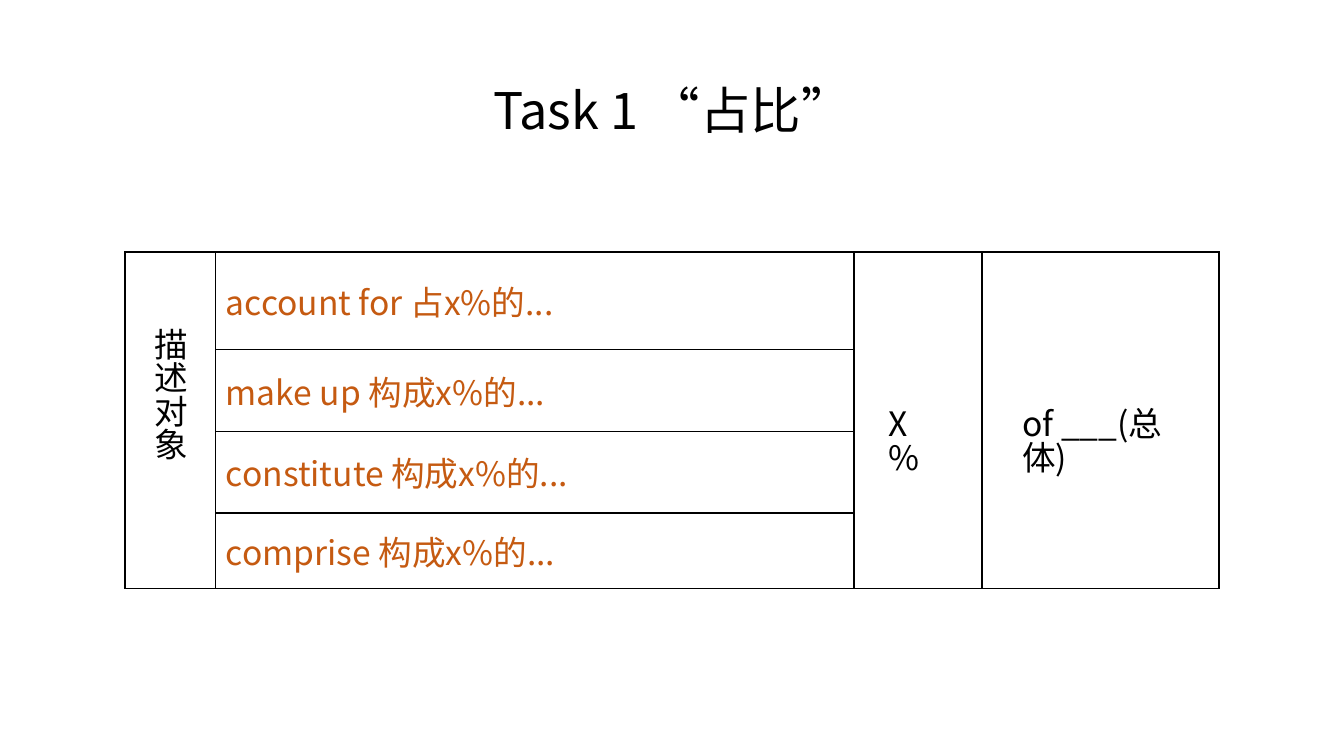
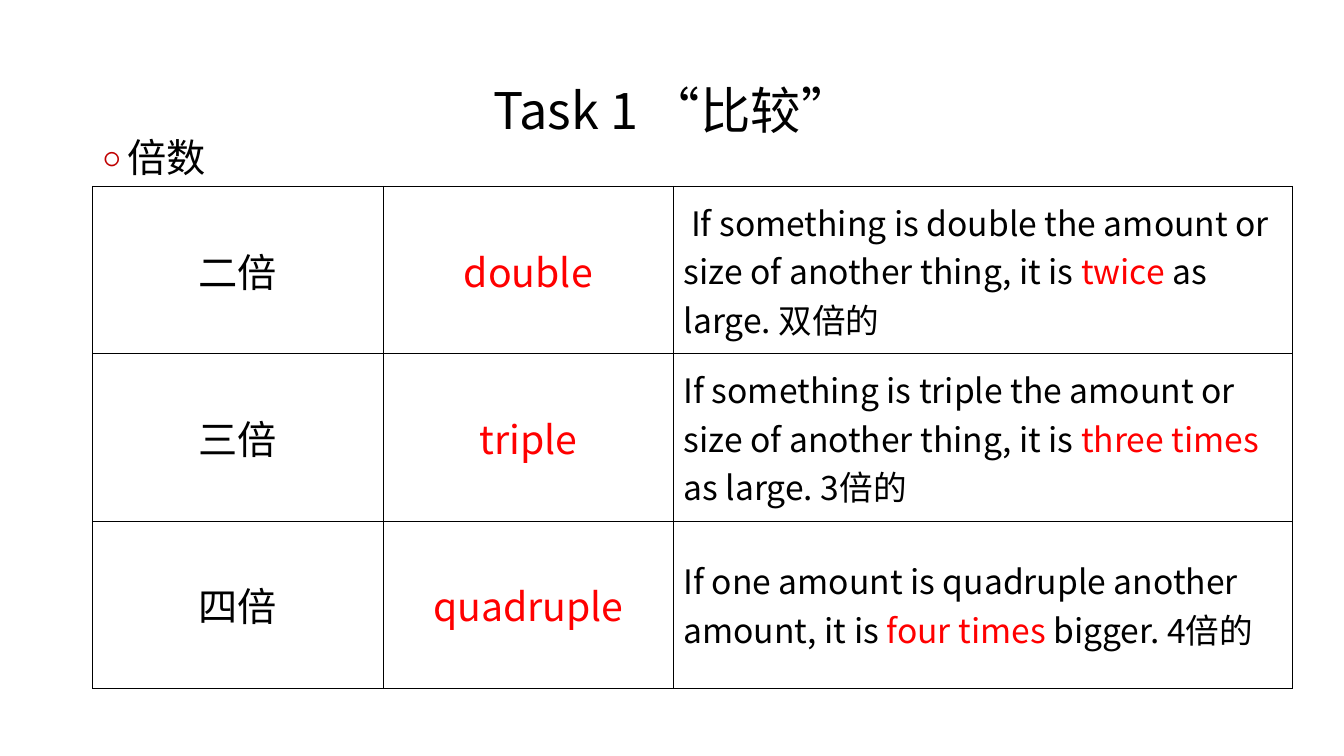
from dataclasses import dataclass

from lxml import etree
from pptx import Presentation
from pptx.dml.color import RGBColor
from pptx.enum import text
from pptx.oxml import ns
from pptx.util import Inches, Pt


@dataclass(frozen=True)
class Theme:
    font: str = "Noto Sans CJK SC"
    ink: str = "000000"
    rust: str = "C55A11"
    red: str = "FF0000"
    dot: str = "C00000"
    title: int = 36
    large: int = 28
    body: int = 24
    rule: int = 1


T = Theme()
MID = text.MSO_ANCHOR.MIDDLE
CENTER = text.PP_ALIGN.CENTER


def write(frame, runs, size, **form):
    """Fill the first paragraph with (words, colour) runs; form sets its format."""
    para = frame.paragraphs[0]
    for key, value in form.items():
        setattr(para, key, value)
    for words, color in runs:
        run = para.add_run()
        run.text = words
        run.font.name, run.font.size = T.font, Pt(size)
        run.font.color.rgb = RGBColor.from_string(color)
        east = etree.SubElement(run.font._element, ns.qn("a:ea"))
        east.set("typeface", T.font)
    return para


def grid(slide, left, top, cols, rows):
    """Add a table without fills, ruled on every side of every cell."""
    box = [Inches(n) for n in (left, top, sum(cols), sum(rows))]
    table = slide.shapes.add_table(len(rows), len(cols), *box).table
    table.first_row = table.horz_banding = False
    for col, wide in zip(table.columns, cols):
        col.width = Inches(wide)
    for row, high in zip(table.rows, rows):
        row.height = Inches(high)
    for cell in table.iter_cells():
        cell.fill.background()
        cell.vertical_anchor = MID
        props = cell._tc.get_or_add_tcPr()
        for place, side in enumerate("LRTB"):
            line = etree.Element(ns.qn(f"a:ln{side}"), w=str(Pt(T.rule)))
            fill = etree.SubElement(line, ns.qn("a:solidFill"))
            etree.SubElement(fill, ns.qn("a:srgbClr"), val=T.ink)
            props.insert(place, line)
    return table


deck = Presentation()
deck.slide_width, deck.slide_height = Inches(13.33), Inches(7.5)

slides = []
for title in ("Task 1 “占比”", "Task 1 “比较”"):
    slide = deck.slides.add_slide(deck.slide_layouts[6])
    box = slide.shapes.add_textbox(Inches(0.92), Inches(0.4), Inches(11.5), Inches(1.45))
    box.text_frame.word_wrap = True
    box.text_frame.vertical_anchor = MID
    write(box.text_frame, [(title, T.ink)], T.title, alignment=CENTER, line_spacing=0.9)
    slides.append(slide)
share, ratio = slides

# Share: verbs between a subject, a percentage and a whole
verbs = ("account for 占x%的...", "make up 构成x%的...",
         "constitute 构成x%的...", "comprise 构成x%的...")
table = grid(share, 1.24, 2.5, (0.9, 6.33, 1.27, 2.35), (0.97, 0.81, 0.81, 0.75))
for col in (0, 2, 3):
    table.cell(0, col).merge(table.cell(len(verbs) - 1, col))
for row, verb in enumerate(verbs):
    write(table.cell(row, 1).text_frame, [(verb, T.rust)], T.body)

labels = (
    ("描述对象", 1.43, 3.23, 0.46, 1.72),
    ("X %", 8.71, 4.02, 0.69, 0.9),
    ("of ___(总体)", 10.04, 4.02, 2.02, 0.9),
)
for words, *place in labels:
    box = share.shapes.add_textbox(*[Inches(n) for n in place])
    box.text_frame.word_wrap = True
    write(box.text_frame, [(words, T.ink)], T.body, line_spacing=0.83)

# Ratio: multiples with their meanings
multiples = (
    ("二倍", "double", " If something is double the amount or size of another thing, it is ",
     "twice", " as large. 双倍的"),
    ("三倍", "triple", "If something is triple the amount or size of another thing, it is ",
     "three times", " as large. 3倍的"),
    ("四倍", "quadruple", "If one amount is quadruple another amount, it is ",
     "four times", " bigger. 4倍的"),
)
table = grid(ratio, 0.92, 1.85, (2.88, 2.88, 6.14), [1.66] * len(multiples))
for row, (name, word, start, key, end) in enumerate(multiples):
    write(table.cell(row, 0).text_frame, [(name, T.ink)], T.large, alignment=CENTER)
    write(table.cell(row, 1).text_frame, [(word, T.red)], T.large, alignment=CENTER)
    write(table.cell(row, 2).text_frame,
          [(start, T.ink), (key, T.red), (end, T.ink)], T.body)

box = ratio.shapes.add_textbox(Inches(0.92), Inches(1.33), Inches(12.3), Inches(5.5))
box.text_frame.word_wrap = True
para = write(box.text_frame, [("倍数", T.ink)], T.large, line_spacing=0.9)
props = para._p.get_or_add_pPr()
props.set("marL", str(Inches(0.25)))
props.set("indent", str(-Inches(0.25)))
color = etree.SubElement(props, ns.qn("a:buClr"))
etree.SubElement(color, ns.qn("a:srgbClr"), val=T.dot)
etree.SubElement(props, ns.qn("a:buFont"), typeface=T.font)
etree.SubElement(props, ns.qn("a:buChar"), char="￮")

deck.save("out.pptx")
